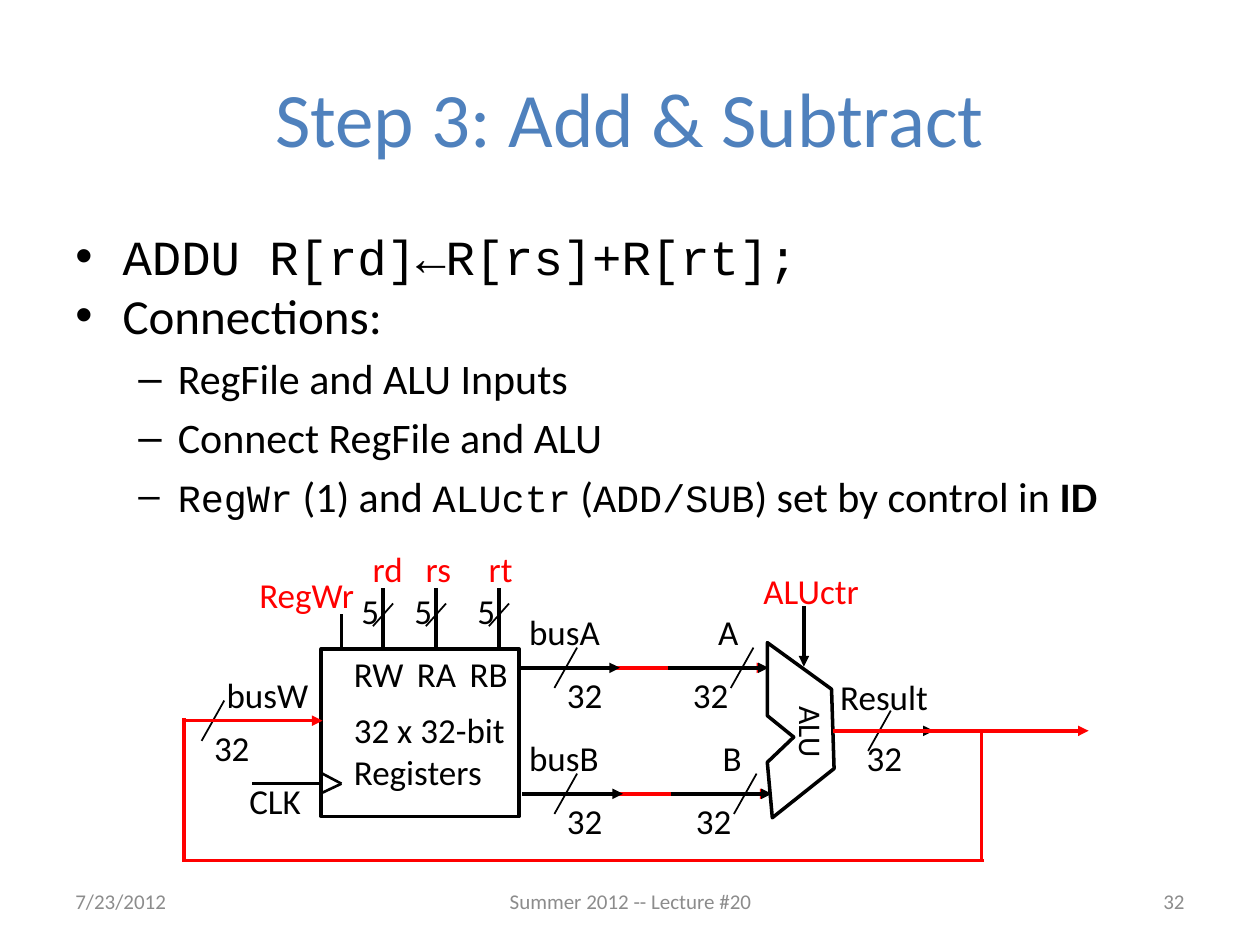
from typing import NamedTuple
from lxml.etree import SubElement
from pptx import Presentation
from pptx.dml.color import RGBColor
from pptx.enum.shapes import MSO_CONNECTOR, MSO_SHAPE
from pptx.enum.text import MSO_ANCHOR, PP_ALIGN
from pptx.oxml.ns import qn
from pptx.util import Inches, Pt

BLACK, RED, BLUE, GREY = "000000", "FF0000", "4F81BD", "8C8C8C"
SANS, MONO = "Calibri", "Courier New"
COLUMNS = 100  # the grid has 100 columns and 75 rows of equal size


class Label(NamedTuple):
    text: str
    left: float
    top: float
    width: float
    height: float = 4.3
    color: str = BLACK
    size: float = 20
    align: PP_ALIGN = PP_ALIGN.LEFT
    anchor: MSO_ANCHOR = MSO_ANCHOR.TOP
    wrap: bool = False
    rotation: float = 0


class Wire(NamedTuple):
    x1: float
    y1: float
    x2: float
    y2: float
    color: str = BLACK
    weight: float = 2
    arrow: bool = False


class Port(NamedTuple):
    field: str
    x: float
    width: float
    register: str
    register_left: float
    register_width: float


class Bus(NamedTuple):
    source: str
    target: str
    row: float
    shift: float


class Piece(NamedTuple):
    text: str
    size: float = 24
    font: str = SANS
    bold: bool = False


class Bullet(NamedTuple):
    pieces: list[Piece]
    level: int = 0
    space: float = 0


presentation = Presentation()
presentation.slide_width, presentation.slide_height = Inches(10), Inches(7.5)
slide = presentation.slides.add_slide(presentation.slide_layouts[6])


def grid(steps: float) -> int:
    return round(steps * presentation.slide_width / COLUMNS)


def rgb(color: str) -> RGBColor:
    return RGBColor.from_string(color)


def style(font, size: float, color: str, name: str = SANS, bold: bool = False) -> None:
    font.size, font.name, font.bold = Pt(size), name, bold
    font.color.rgb = rgb(color)


def draw_label(label: Label) -> None:
    box = slide.shapes.add_textbox(*map(grid, label[1:5]))
    box.rotation = label.rotation
    frame = box.text_frame
    frame.word_wrap = label.wrap
    frame.vertical_anchor = label.anchor
    frame.text = label.text
    for paragraph in frame.paragraphs:
        paragraph.alignment = label.align
        for run in paragraph.runs:
            style(run.font, label.size, label.color)


def draw_wire(wire: Wire) -> None:
    line = slide.shapes.add_connector(MSO_CONNECTOR.STRAIGHT, *map(grid, wire[:4]))
    line.line.color.rgb = rgb(wire.color)
    line.line.width = Pt(wire.weight)
    if wire.arrow:
        SubElement(line.line._get_or_add_ln(), qn("a:tailEnd"), type="triangle")
    SubElement(line._element.spPr, qn("a:effectLst"))


def draw_width(x: float, row: float, left: float, width: float = 4.8) -> None:
    """Slash across a bus with its bit count below."""
    draw_wire(Wire(x + 0.9, row - 1.6, x - 0.9, row + 1.6, weight=1))
    draw_label(Label("32", left, row, width))


def outline(shape) -> None:
    shape.shadow.inherit = False
    shape.fill.background()
    shape.line.color.rgb = rgb(BLACK)
    shape.line.width = Pt(2)


def draw_bullets(bullets: list[Bullet]) -> None:
    frame = slide.shapes.add_textbox(*map(grid, (5, 17.5, 90, 54))).text_frame
    frame.word_wrap = True
    for number, bullet in enumerate(bullets):
        paragraph = frame.add_paragraph() if number else frame.paragraphs[0]
        mark, margin, hang = (("•", 3.75, 3.75), ("–", 8.13, 3.13))[bullet.level]
        properties = paragraph._p.get_or_add_pPr()
        properties.set("marL", str(grid(margin)))
        properties.set("indent", str(-grid(hang)))
        SubElement(properties, qn("a:buFont"), typeface="Arial")
        SubElement(properties, qn("a:buChar"), char=mark)
        paragraph.level = bullet.level
        paragraph.space_before = Pt(bullet.space)
        for piece in bullet.pieces:
            run = paragraph.add_run()
            run.text = piece.text
            style(run.font, piece.size, BLACK, piece.font, piece.bold)


# Title, bullets and footer
MIDDLE = MSO_ANCHOR.MIDDLE
draw_label(Label("Step 3: Add & Subtract", 5, 3, 90, 12.5, BLUE, 44, PP_ALIGN.CENTER, MIDDLE, True))
draw_bullets([
    Bullet([Piece("ADDU R[rd]←R[rs]+R[rt];", 28, MONO)]),
    Bullet([Piece("Connections:", 28)]),
    Bullet([Piece("RegFile and ALU Inputs")], 1, 4.8),
    Bullet([Piece("Connect RegFile and ALU")], 1, 4.8),
    Bullet([Piece("RegWr", 22, MONO), Piece(" (1) and "), Piece("ALUctr", 22, MONO),
            Piece(" ("), Piece("ADD/SUB", 22, MONO), Piece(") set by control in "),
            Piece("ID", bold=True)], 1, 4.8),
])
for text, left, width, align in (
    ("7/23/2012", 5, 23.3, PP_ALIGN.LEFT),
    ("Summer 2012 -- Lecture #20", 34.2, 31.7, PP_ALIGN.CENTER),
    ("32", 71.7, 23.3, PP_ALIGN.RIGHT),
):
    draw_label(Label(text, left, 69.5, width, 4, GREY, 12, align, MIDDLE, True))

# Register file with its clock notch
registers = slide.shapes.add_shape(MSO_SHAPE.RECTANGLE, *map(grid, (25.5, 51.5, 15.7, 13.3)))
outline(registers)
draw_label(Label("32 x 32-bit\nRegisters", 27.1, 55.7, 14.1, 7.7))
draw_label(Label("CLK", 18.8, 61.4, 6.1))
draw_wire(Wire(25.3, 62.2, 20, 62.2))
for edge in (61.3, 63):
    draw_wire(Wire(25.4, edge, 27.1, 62.2, weight=1.5))

# Register ports
for port in (
    Port("rd", 30.4, 4.4, "RW", 27.1, 6),
    Port("rs", 34.6, 4, "RA", 32.1, 5.2),
    Port("rt", 39.6, 3.9, "RB", 36.3, 5),
):
    draw_wire(Wire(port.x, 46.7, port.x, 51.4))
    draw_wire(Wire(port.x - 0.8, 49.7, port.x + 0.8, 47.9, weight=1))
    draw_label(Label("5", port.x - 2.7, 46.3, 3.4))
    draw_label(Label(port.field, port.x - 1.8, 43, port.width, color=RED))
    draw_label(Label(port.register, port.register_left, 51.3, port.register_width))

# Control signals
draw_label(Label("RegWr", 19.6, 45, 9.7, color=RED))
draw_wire(Wire(27.1, 51.5, 27.1, 48.7))
draw_label(Label("ALUctr", 59.6, 44.7, 10.8, color=RED))
draw_wire(Wire(63.8, 48.1, 63.8, 52.9, arrow=True))

# ALU
corners = [(60.9, 51), (66, 54.7), (66.2, 61), (61.3, 64.9), (60.9, 60.5), (63, 58.5), (60.9, 56.8)]
points = [(grid(x), grid(y)) for x, y in corners]
builder = slide.shapes.build_freeform(*points[0])
builder.add_line_segments(points[1:], close=True)
outline(builder.convert_to_shape())
draw_label(Label("ALU", 61.3, 56.2, 6.2, 4, size=18, rotation=90))

# Buses from the registers to the ALU: red link, black stub at each end
for bus in (Bus("busA", "A", 53, 0), Bus("busB", "B", 63, 0.25)):
    start = 41.2 + bus.shift
    for left, length, color in ((start, 19.7, RED), (start, 8, BLACK), (start + 11.8, 8, BLACK)):
        draw_wire(Wire(left, bus.row, left + length, bus.row, color, arrow=True))
    draw_width(44.9, bus.row, 44)
    draw_width(58.9 + bus.shift, bus.row, 54 + bus.shift)
    draw_label(Label(bus.source, 41, bus.row - 5, 7.8))
    draw_label(Label(bus.target, 56 + bus.shift, bus.row - 5, 3.6, align=PP_ALIGN.RIGHT))

# Result and the path back to busW
draw_label(Label("Result", 65.7, 53.1, 9.3))
draw_width(69.8, 58, 67.8, 6)
draw_label(Label("busW", 17, 53, 8.6))
draw_width(16.9, 57.2, 16)
for wire in (
    Wire(66.1, 58, 74.1, 58, arrow=True),
    Wire(66.1, 58, 86.4, 58, RED, arrow=True),
    Wire(77.9, 58.1, 77.9, 68.2, RED),
    Wire(78.1, 68.3, 14.5, 68.3, RED),
    Wire(14.6, 68.4, 14.6, 57, RED),
    Wire(14.5, 57.2, 25.6, 57.2, RED, arrow=True),
):
    draw_wire(wire)

presentation.save("out.pptx")
